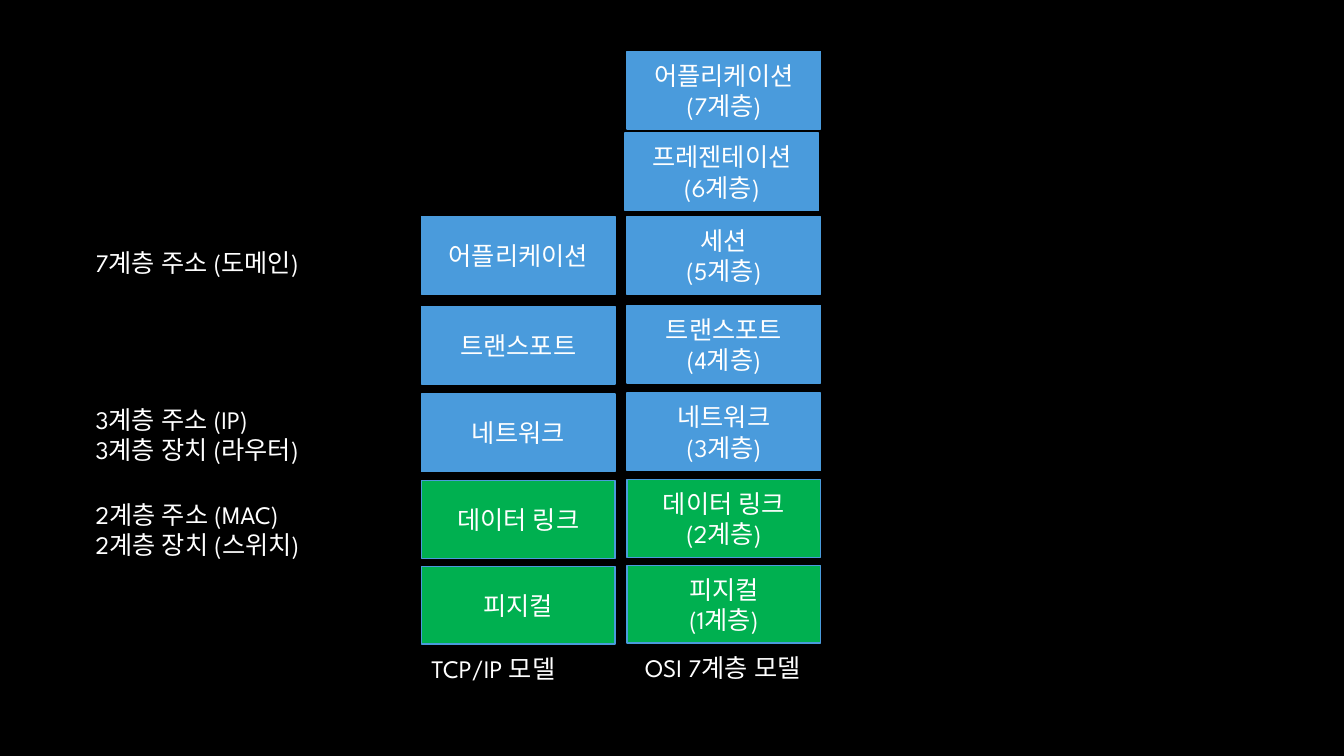
from dataclasses import dataclass

from pptx import Presentation
from pptx.dml.color import RGBColor
from pptx.enum.lang import MSO_LANGUAGE_ID
from pptx.enum.shapes import MSO_SHAPE
from pptx.enum.text import MSO_ANCHOR, MSO_AUTO_SIZE, PP_ALIGN
from pptx.oxml.ns import qn
from pptx.slide import Slide
from pptx.text.text import TextFrame
from pptx.util import Emu, Pt

PROCESS = MSO_SHAPE.FLOWCHART_PROCESS
MIDDLE = MSO_ANCHOR.MIDDLE
GROW = MSO_AUTO_SIZE.SHAPE_TO_FIT_TEXT
CENTER, LEFT = PP_ALIGN.CENTER, PP_ALIGN.LEFT

PX = 9144  # 100 px to the inch
FONT = "League Spartan"
COLORS = {"background": "000000", "text": "FFFFFF",
          "upper": "4A9BDC", "lower": "00B050", "line": "4A9BDC"}
TEXT_FORMAT = {"name": FONT, "size": Pt(18), "language_id": MSO_LANGUAGE_ID.KOREAN}
BOX_W, BOX_H = 192, 77
TCP_X, OSI_X = 418, 622
NOTE_X, NOTE_W = 85, 244


@dataclass
class Layer:
    name: str
    y: int
    x: int
    color: str = "upper"


@dataclass
class Label:
    lines: list[str]
    x: int
    y: int
    w: int
    h: int = 40


TCP_LAYERS = [
    Layer("어플리케이션", 215, TCP_X),
    Layer("트랜스포트", 304, TCP_X),
    Layer("네트워크", 391, TCP_X),
    Layer("데이터 링크", 477, TCP_X, "lower"),
    Layer("피지컬", 562, TCP_X, "lower"),
]
OSI_LAYERS = [
    Layer("어플리케이션", 51, OSI_X),
    Layer("프레젠테이션", 132, OSI_X - 2),
    Layer("세션", 215, OSI_X),
    Layer("트랜스포트", 303, OSI_X),
    Layer("네트워크", 390, OSI_X),
    Layer("데이터 링크", 476, OSI_X, "lower"),
    Layer("피지컬", 561, OSI_X, "lower"),
]
LABELS = [
    Label(["TCP/IP 모델"], TCP_X, 643, 156),
    Label(["OSI 7계층 모델"], 630, 642, 190),
    Label(["7계층 주소 (도메인)"], NOTE_X, 240, NOTE_W),
    Label(["3계층 주소 (IP)", "3계층 장치 (라우터)"], NOTE_X, 396, NOTE_W, 71),
    Label(["2계층 주소 (MAC)", "2계층 장치 (스위치)"], NOTE_X, 490, NOTE_W, 71),
]


def px(*lengths: int) -> list[Emu]:
    return [Emu(length * PX) for length in lengths]


def rgb(name: str) -> RGBColor:
    return RGBColor.from_string(COLORS[name])


def write_lines(tf: TextFrame, lines: list[str], align: PP_ALIGN) -> None:
    tf.word_wrap = True
    for i, line in enumerate(lines):
        p = tf.paragraphs[0] if i == 0 else tf.add_paragraph()
        p.alignment = align
        r = p.add_run()
        r.text = line
        for key, value in TEXT_FORMAT.items():
            setattr(r.font, key, value)
        r.font.color.rgb = rgb("text")
        # East Asian text takes its typeface from a:ea
        ea = r._r.get_or_add_rPr().makeelement(qn("a:ea"), {"typeface": FONT})
        r._r.rPr.append(ea)


def add_layer(s: Slide, layer: Layer, lines: list[str]) -> None:
    sp = s.shapes.add_shape(PROCESS, *px(layer.x, layer.y, BOX_W, BOX_H))
    sp.shadow.inherit = False
    sp.fill.solid()
    sp.fill.fore_color.rgb = rgb(layer.color)
    sp.line.color.rgb = rgb("line")
    sp.line.width = Pt(1)
    sp.text_frame.vertical_anchor = MIDDLE
    write_lines(sp.text_frame, lines, CENTER)


def add_label(s: Slide, label: Label) -> None:
    tf = s.shapes.add_textbox(*px(label.x, label.y, label.w, label.h)).text_frame
    tf.auto_size = GROW
    write_lines(tf, label.lines, LEFT)


def main() -> None:
    prs = Presentation()
    prs.slide_width, prs.slide_height = px(1333, 750)
    s = prs.slides.add_slide(prs.slide_layouts[6])
    s.background.fill.solid()
    s.background.fill.fore_color.rgb = rgb("background")

    for layer in TCP_LAYERS:
        add_layer(s, layer, [layer.name])
    for i, layer in enumerate(OSI_LAYERS):
        add_layer(s, layer, [layer.name, f"({len(OSI_LAYERS) - i}계층)"])
    for label in LABELS:
        add_label(s, label)
    prs.save("out.pptx")


if __name__ == "__main__":
    main()
